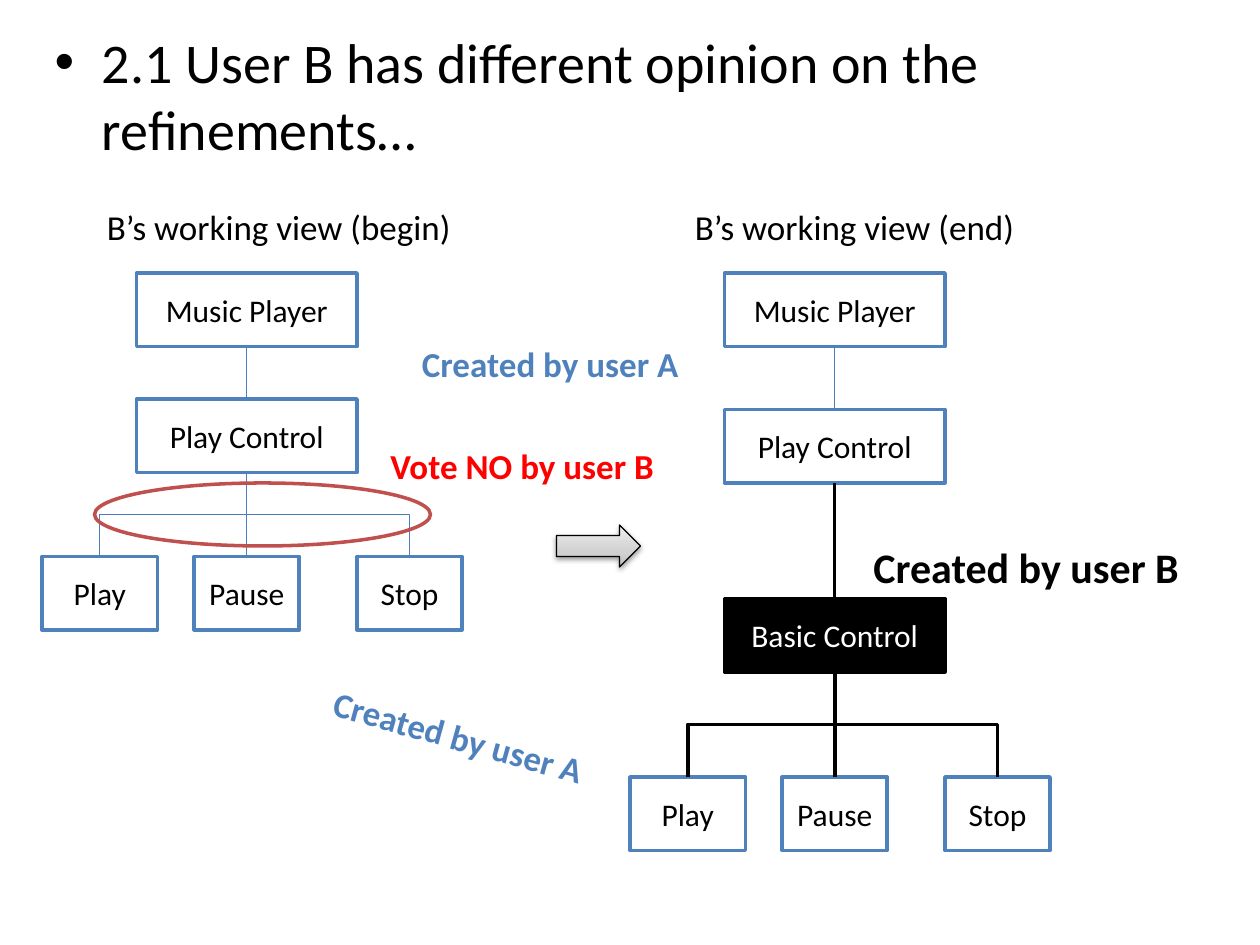
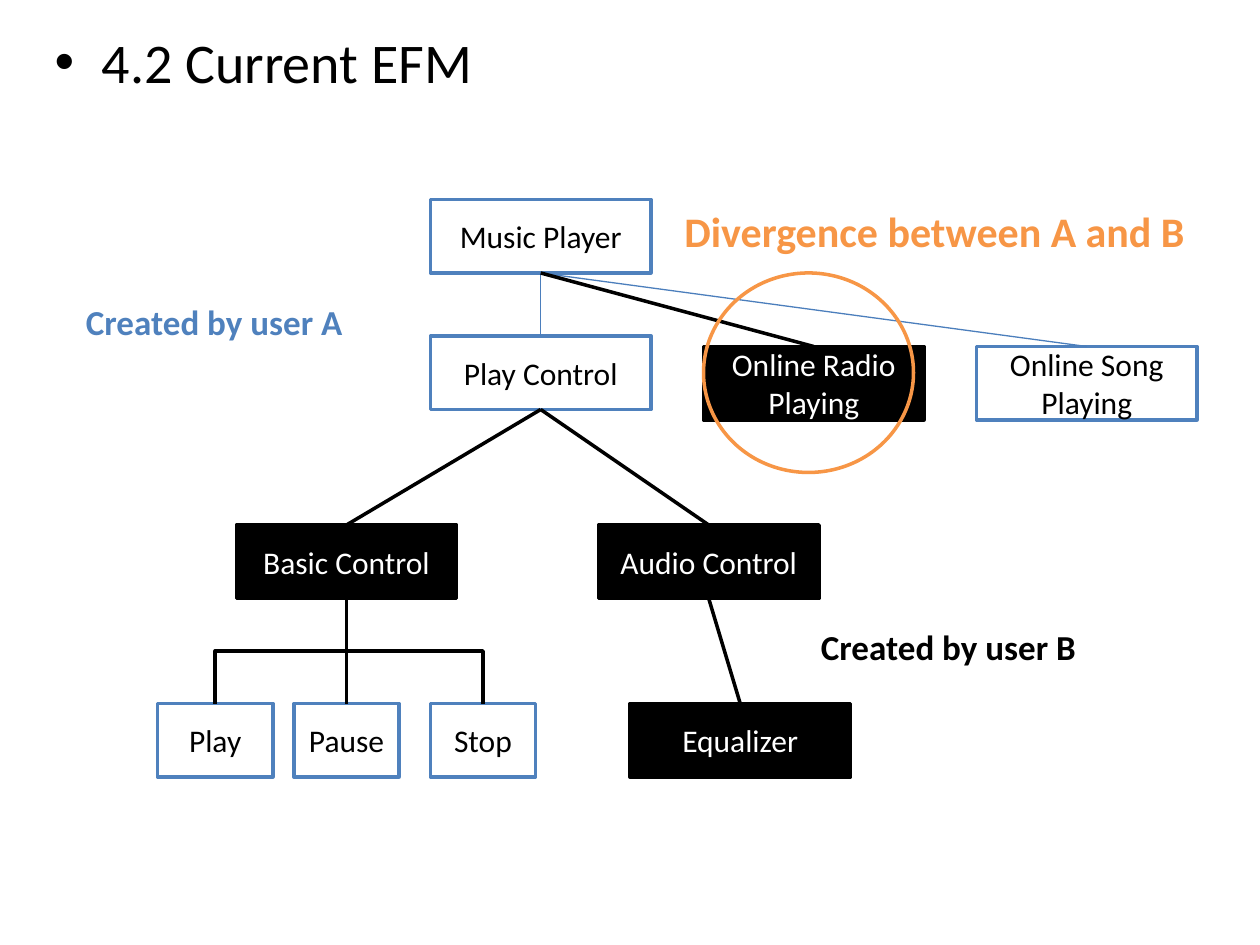
from copy import deepcopy

from lxml.etree import SubElement
from pptx import Presentation
from pptx.dml.color import RGBColor
from pptx.enum.shapes import MSO_CONNECTOR, MSO_SHAPE
from pptx.enum.text import MSO_ANCHOR, MSO_AUTO_SIZE, PP_ALIGN
from pptx.oxml.ns import qn
from pptx.util import Pt

FONT = "Calibri"
BLACK, WHITE, BLUE, LINK_BLUE = "000000", "FFFFFF", "4F81BD", "4B7EBC"
RED, MAROON, ORANGE = "FF0000", "C0504D", "F79646"
BOX_STYLES = {"A": (WHITE, BLUE, BLACK), "B": (BLACK, BLACK, WHITE)}
LINK_STYLES = {"A": (LINK_BLUE, 0.75), "B": (BLACK, 2)}
BOX_WIDTH, BOX_HEIGHT = 126, 42
BUTTON_WIDTHS = {"Play": 66, "Pause": 60, "Stop": 60}
ARROW_STOPS = [(0, "BDBDBD"), (0.35, "D1D1D1"), (1, "EEEEEE")]
END_VIEW = 336


def buttons(lefts, top):
    """Return the three player buttons of one row."""
    return [(name, left, top, "A") for name, left in zip(BUTTON_WIDTHS, lefts)]


def button_links(parent, author):
    """Return the links from a parent to each player button."""
    return [(parent, name, author) for name in BUTTON_WIDTHS]


BEGIN_TREE = {
    "boxes": [("Music Player", 78, 156, "A"), ("Play Control", 78, 228, "A"),
              *buttons((24, 111, 204), 318)],
    "links": [("Music Player", "Play Control", "A"), *button_links("Play Control", "A")],
}
END_TREE = {
    "boxes": [("Music Player", 78 + END_VIEW, 156, "A"),
              ("Play Control", 78 + END_VIEW, 234, "A"),
              ("Basic Control", 78 + END_VIEW, 342, "B"),
              *buttons((24 + END_VIEW, 111 + END_VIEW, 204 + END_VIEW), 444)],
    "links": [("Music Player", "Play Control", "A"), ("Play Control", "Basic Control", "B"),
              *button_links("Basic Control", "B")],
}
CURRENT_TREE = {
    "boxes": [("Music Player", 246, 114, "A"), ("Play Control", 246, 192, "A"),
              ("Online Radio Playing", 402, 198, "B"), ("Online Song Playing", 558, 198, "A"),
              ("Basic Control", 135, 300, "B"), ("Audio Control", 342, 300, "B"),
              ("Equalizer", 360, 402, "B"), *buttons((90, 168, 246), 402)],
    "links": [("Music Player", "Play Control", "A"),
              ("Music Player", "Online Song Playing", "A"),
              ("Music Player", "Online Radio Playing", "B"),
              ("Play Control", "Basic Control", "B"), ("Play Control", "Audio Control", "B"),
              ("Audio Control", "Equalizer", "B"), *button_links("Basic Control", "B")],
}
SLIDES = [
    {
        "title": "2.1 User B has different opinion on the refinements…",
        "title_height": 216,
        "trees": [BEGIN_TREE, END_TREE],
        "ellipse": ((54, 276, 192, 36), MAROON),
        "arrow": (318, 300, 48, 24),
        "labels": [
            ("Vote NO by user B", (216, 250.5, 166.5, 31.5), 20, RED, True, 0),
            ("Created by user B", (492, 306, 191, 36), 24, BLACK, True, 0),
            ("B’s working view (begin)", (54, 114, 212.5, 31.5), 20, BLACK, False, 0),
            ("B’s working view (end)", (54 + END_VIEW, 114, 198.5, 31.5), 20, BLACK, False, 0),
            ("Created by user A", (234, 192, 162.5, 31.5), 20, BLUE, True, 0),
            ("Created by user A", (181.5, 405.5, 162.5, 31.5), 20, BLUE, True, 15.5),
        ],
    },
    {
        "title": "4.2 Current EFM",
        "title_height": 60,
        "trees": [CURRENT_TREE],
        "ellipse": ((402, 156, 120, 114), ORANGE),
        "arrow": None,
        "labels": [
            ("Created by user B", (462, 354, 162, 31.5), 20, BLACK, True, 0),
            ("Created by user A", (42, 168, 162.5, 31.5), 20, BLUE, True, 0),
            ("Divergence between A and B", (384, 114, 303, 36), 24, ORANGE, True, 0),
        ],
    },
]


def colour(hex_value):
    """Turn a hex string into a colour."""
    return RGBColor.from_string(hex_value)


def apply(target, **values):
    """Set each given value as an attribute of the target."""
    for name, value in values.items():
        setattr(target, name, value)


def points(*lengths):
    """Convert numbers to point lengths."""
    return [Pt(length) for length in lengths]


def write(shape, text, size, hex_value, bold=False):
    """Put one formatted paragraph into a shape."""
    paragraph = shape.text_frame.paragraphs[0]
    run = paragraph.add_run()
    run.text = text
    apply(run.font, name=FONT, size=Pt(size), bold=bold)
    run.font.color.rgb = colour(hex_value)
    return paragraph


def outline(shape, hex_value, width):
    """Give a shape or connector a solid line."""
    shape.line.color.rgb = colour(hex_value)
    shape.line.width = Pt(width)


def add_title(slide, text, height):
    """Format the title placeholder as a bulleted heading."""
    title = slide.shapes.title
    left, top, width, height = points(24, 12, 648, height)
    apply(title, left=left, top=top, width=width, height=height)
    apply(title.text_frame, vertical_anchor=MSO_ANCHOR.TOP, word_wrap=True,
          auto_size=MSO_AUTO_SIZE.NONE)
    paragraph = write(title, text, 32, BLACK)
    paragraph.alignment = PP_ALIGN.LEFT
    properties = paragraph._p.get_or_add_pPr()
    properties.set("marL", str(Pt(27)))
    properties.set("indent", str(Pt(-27)))
    SubElement(properties, qn("a:buFont"), typeface="Arial")
    SubElement(properties, qn("a:buChar"), char="•")


def add_box(slide, name, left, top, author):
    """Draw one feature box in its author's style."""
    fill, line, ink = BOX_STYLES[author]
    width = BUTTON_WIDTHS.get(name, BOX_WIDTH)
    box = slide.shapes.add_shape(MSO_SHAPE.RECTANGLE, *points(left, top, width, BOX_HEIGHT))
    box.shadow.inherit = False
    box.fill.solid()
    box.fill.fore_color.rgb = colour(fill)
    outline(box, line, 2)
    write(box, name, 18, ink)
    return box


def add_link(slide, parent, child, author):
    """Connect the foot of a parent to the head of a child."""
    is_elbow = child.text_frame.text in BUTTON_WIDTHS
    kind = MSO_CONNECTOR.ELBOW if is_elbow else MSO_CONNECTOR.STRAIGHT
    link = slide.shapes.add_connector(kind, 0, 0, 0, 0)
    link.begin_connect(parent, 2)
    link.end_connect(child, 0)
    outline(link, *LINK_STYLES[author])
    SubElement(link.element.spPr, qn("a:effectLst"))
    if is_elbow:
        turn_downward(link)


def turn_downward(link):
    """Rotate an elbow connector so that it leaves vertically."""
    goes_right = link.end_x > link.begin_x
    across, down = link.width, link.height
    middle_x, middle_y = link.left + across // 2, link.top + down // 2
    apply(link, left=middle_x - down // 2, top=middle_y - across // 2, width=down, height=across)
    frame = link.element.spPr.find(qn("a:xfrm"))
    frame.set("rot", "16200000" if goes_right else "5400000")
    frame.set("flipH", "1" if goes_right else "0")


def add_tree(slide, boxes, links):
    """Draw a feature tree."""
    nodes = {box[0]: add_box(slide, *box) for box in boxes}
    for parent, child, author in links:
        add_link(slide, nodes[parent], nodes[child], author)


def add_ellipse(slide, frame, hex_value):
    """Circle a disputed part of the tree."""
    ellipse = slide.shapes.add_shape(MSO_SHAPE.OVAL, *points(*frame))
    ellipse.shadow.inherit = False
    ellipse.fill.background()
    outline(ellipse, hex_value, 2)


def add_arrow(slide, frame):
    """Draw the shaded arrow between the two views."""
    arrow = slide.shapes.add_shape(MSO_SHAPE.RIGHT_ARROW, *points(*frame))
    arrow.shadow.inherit = False
    outline(arrow, BLACK, 0.75)
    arrow.fill.gradient()
    arrow.fill.gradient_angle = 90
    stop_list = arrow.element.spPr.find(".//" + qn("a:gsLst"))
    stop_list.append(deepcopy(stop_list[0]))
    for stop, (position, hex_value) in zip(arrow.fill.gradient_stops, ARROW_STOPS):
        stop.position = position
        stop.color.rgb = colour(hex_value)
    effects = arrow.element.spPr.find(qn("a:effectLst"))
    shadow = SubElement(effects, qn("a:outerShdw"), blurRad=str(Pt(3.1)), dist=str(Pt(1.6)),
                        dir="5400000", rotWithShape="0")
    shade = SubElement(shadow, qn("a:srgbClr"), val=BLACK)
    SubElement(shade, qn("a:alpha"), val="38000")


def add_label(slide, text, frame, size, hex_value, bold, rotation):
    """Place a one-line label."""
    label = slide.shapes.add_textbox(*points(*frame))
    label.rotation = rotation
    apply(label.text_frame, word_wrap=False, auto_size=MSO_AUTO_SIZE.SHAPE_TO_FIT_TEXT)
    write(label, text, size, hex_value, bold)


def main():
    """Build the slides and save them."""
    presentation = Presentation()
    apply(presentation, slide_width=Pt(720), slide_height=Pt(540))
    for content in SLIDES:
        slide = presentation.slides.add_slide(presentation.slide_layouts[5])
        add_title(slide, content["title"], content["title_height"])
        for tree in content["trees"]:
            add_tree(slide, **tree)
        add_ellipse(slide, *content["ellipse"])
        if content["arrow"]:
            add_arrow(slide, content["arrow"])
        for label in content["labels"]:
            add_label(slide, *label)
    presentation.save("out.pptx")


if __name__ == "__main__":
    main()
